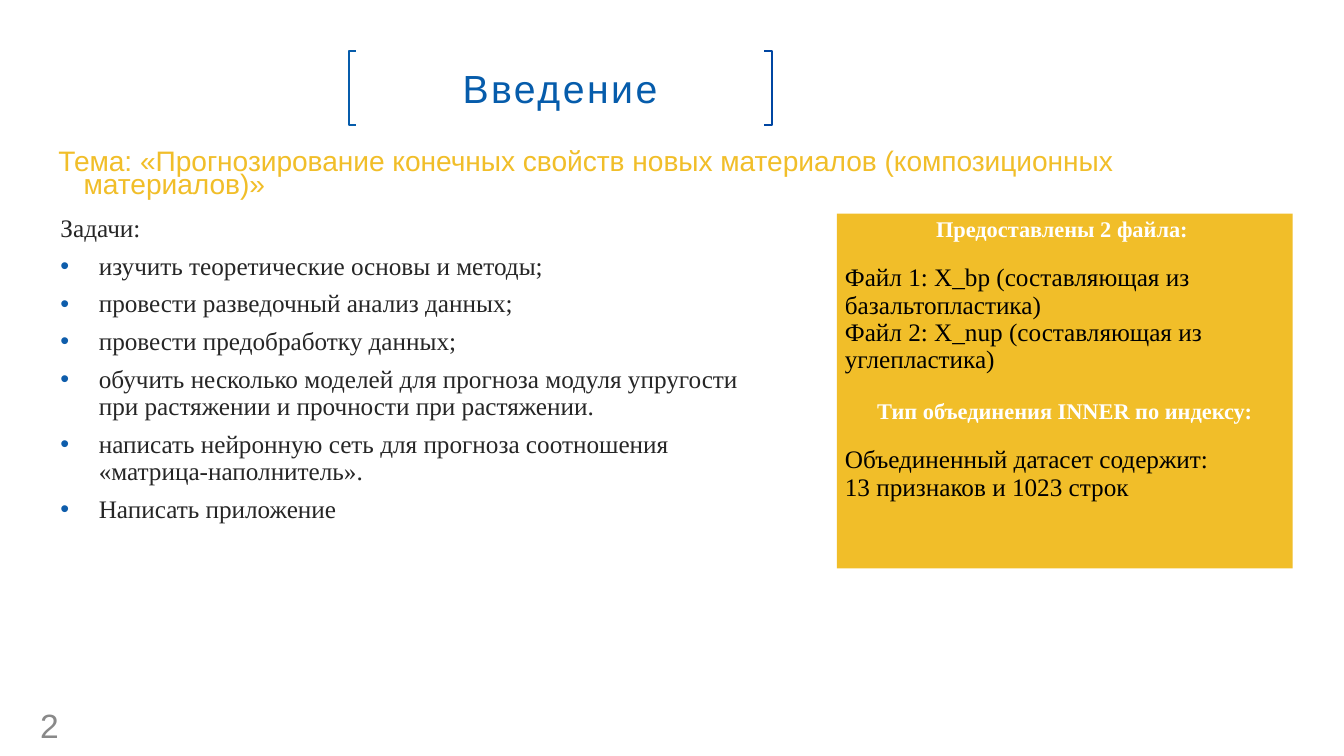
import pptx
import pptx.util
import pptx.dml.color
import pptx.enum.text
import pptx.enum.shapes
import lxml.etree

PX = 9144
BLUE = "065CAB"
GOLD = "F1BE29"
SERIF = "Times New Roman"
ALIGN = pptx.enum.text.PP_ALIGN
ANCHOR = pptx.enum.text.MSO_ANCHOR
TASKS = [
    "изучить теоретические основы и методы;",
    "провести разведочный анализ данных;",
    "провести предобработку данных;",
    "обучить несколько моделей для прогноза модуля упругости при растяжении и прочности при растяжении.",
    "написать нейронную сеть для прогноза соотношения «матрица-наполнитель».",
    "Написать приложение",
]
FACTS = [
    ("Предоставлены 2 файла: ", True, 0),
    ("Файл 1: X_bp (составляющая из базальтопластика)", False, 16.5),
    ("Файл 2: Х_nup (составляющая из углепластика)", False, 0),
    ("Тип объединения INNER по индексу:", True, 18.6),
    ("Объединенный датасет содержит:", False, 16.5),
    ("13 признаков и 1023 строк", False, 0),
]


def px(value):
    return pptx.util.Emu(value * PX)


def color(code):
    return pptx.dml.color.RGBColor.from_string(code)


def place(shape, left, top, width, height):
    shape.left, shape.top = px(left), px(top)
    shape.width, shape.height = px(width), px(height)


def frame(shape, side=10, edge=5, anchor=ANCHOR.TOP):
    box = shape.text_frame
    box.word_wrap = True
    box.auto_size = pptx.enum.text.MSO_AUTO_SIZE.NONE
    box.vertical_anchor = anchor
    box.margin_left = box.margin_right = px(side)
    box.margin_top = box.margin_bottom = px(edge)
    return box


def style(para, size, font, code, bold=False, align=ALIGN.LEFT, line=0.9, before=0):
    para.alignment = align
    para.line_spacing = line
    para.space_before = pptx.util.Pt(before)
    para.space_after = pptx.util.Pt(0)
    for run in para.runs:
        run.font.size = pptx.util.Pt(size)
        run.font.name = font
        run.font.bold = bold
        run.font.color.rgb = color(code)


def indent(para, left, hang, mark=None):
    props = para._p.get_or_add_pPr()
    props.set("marL", str(px(left)))
    props.set("indent", str(px(hang)))

    def add(parent, tag, **attrs):
        name = pptx.oxml.ns.qn(tag)
        return lxml.etree.SubElement(parent, name, **attrs)

    if mark:
        add(add(props, "a:buClr"), "a:srgbClr", val="0E5DAB")
        add(props, "a:buFont", typeface="Arial")
        add(props, "a:buChar", char=mark)
    else:
        add(props, "a:buNone")


def add_title(slide):
    title = slide.shapes.title
    place(title, 346, 51, 419, 73)
    box = frame(title, anchor=ANCHOR.MIDDLE)
    box.text = "Введение"
    para = box.paragraphs[0]
    style(para, 28, "Arial", BLUE, align=ALIGN.CENTER, line=1.0)
    para.runs[0]._r.get_or_add_rPr().set("spc", "180")


def add_bracket(slide, tip, spine, code):
    top, bottom = 51, 124
    pen = slide.shapes.build_freeform(tip, top, scale=PX)
    points = [(spine, top), (spine, bottom), (tip, bottom)]
    pen.add_line_segments(points, close=False)
    shape = pen.convert_to_shape()
    shape.shadow.inherit = False
    shape.fill.background()
    shape.line.color.rgb = color(code)
    shape.line.width = pptx.util.Pt(1.3)


def add_theme(holder):
    place(holder, 23, 146, 1224, 64)
    box = frame(holder)
    box.text = "Тема: «Прогнозирование конечных свойств новых материалов (композиционных материалов)»"
    para = box.paragraphs[0]
    style(para, 20.1, "Arial", GOLD, line=0.7, before=7.5)
    indent(para, 50, -25)


def add_tasks(holder):
    place(holder, 42, 209, 724, 489)
    box = frame(holder)
    box.text = "\n".join(["Задачи:"] + TASKS)
    head, *items = box.paragraphs
    style(head, 18, SERIF, "262626", align=ALIGN.JUSTIFY, before=7.5)
    indent(head, 8, 0)
    for item in items:
        style(item, 18, SERIF, "262626", before=7.5)
        indent(item, 46, -38, "•")


def add_panel(slide):
    kind = pptx.enum.shapes.MSO_SHAPE.RECTANGLE
    panel = slide.shapes.add_shape(kind, px(830), px(212), px(452), px(352))
    panel.shadow.inherit = False
    panel.fill.solid()
    panel.fill.fore_color.rgb = color(GOLD)
    panel.line.fill.background()
    box = frame(panel, 8, 4)
    box.text = "\n".join(text for text, head, gap in FACTS)
    for para, (text, head, gap) in zip(box.paragraphs, FACTS):
        if head:
            style(para, 16, SERIF, "FFFFFF", True, ALIGN.CENTER, before=gap)
        else:
            style(para, 18, SERIF, "000000", before=gap)


def add_number(slide):
    label = slide.shapes.add_textbox(px(30), px(704), px(69), px(30))
    box = frame(label, anchor=ANCHOR.MIDDLE)
    box.text = "2"
    style(box.paragraphs[0], 24, "Arial", "898989", line=1.0)


def main():
    deck = pptx.Presentation()
    deck.slide_width, deck.slide_height = px(1333), px(750)
    slide = deck.slides.add_slide(deck.slide_layouts[3])
    add_number(slide)
    add_tasks(slide.placeholders[1])
    add_theme(slide.placeholders[2])
    add_title(slide)
    add_bracket(slide, 353, 346, BLUE)
    add_bracket(slide, 758, 766, "0046A2")
    add_panel(slide)
    deck.save("out.pptx")


if __name__ == "__main__":
    main()
